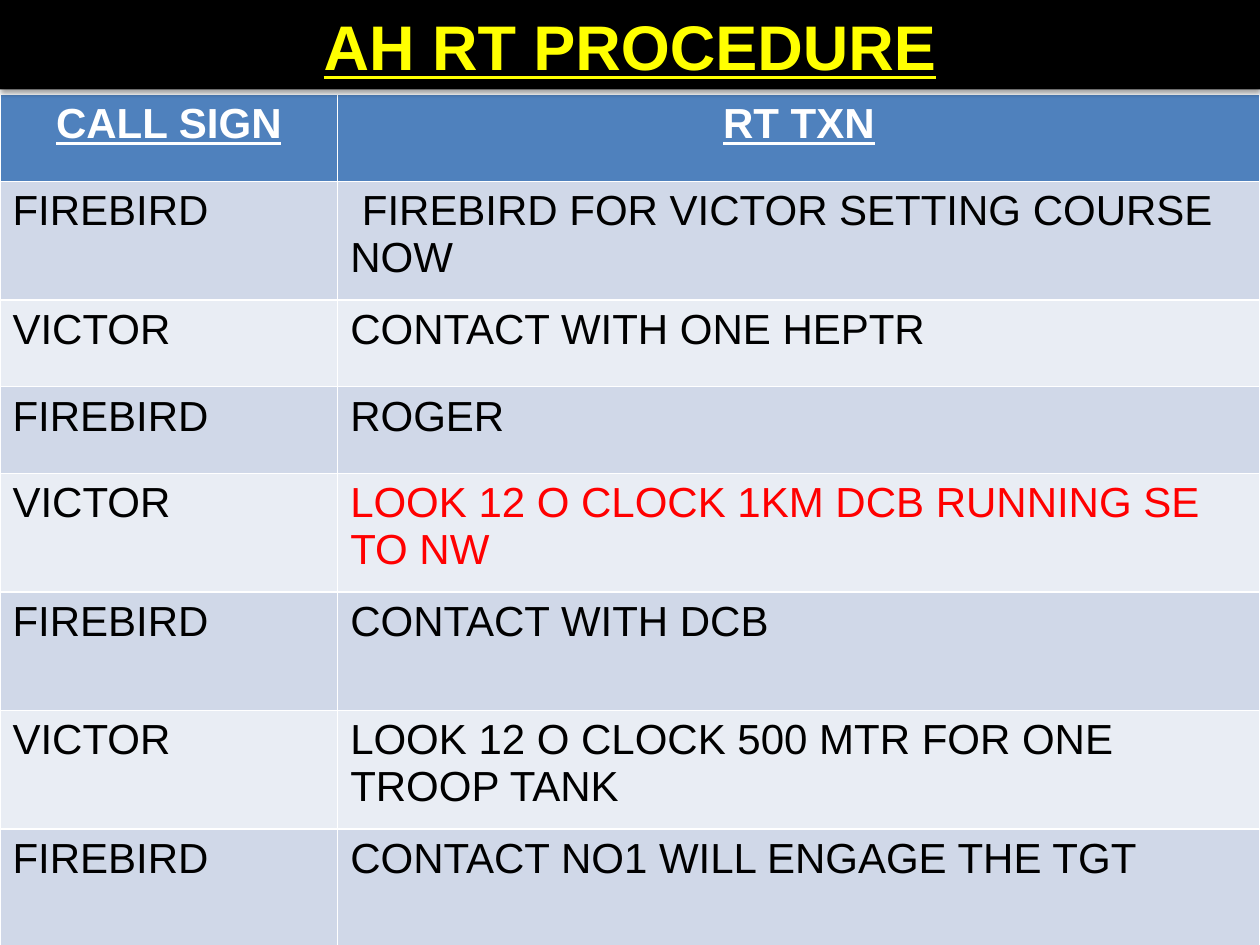
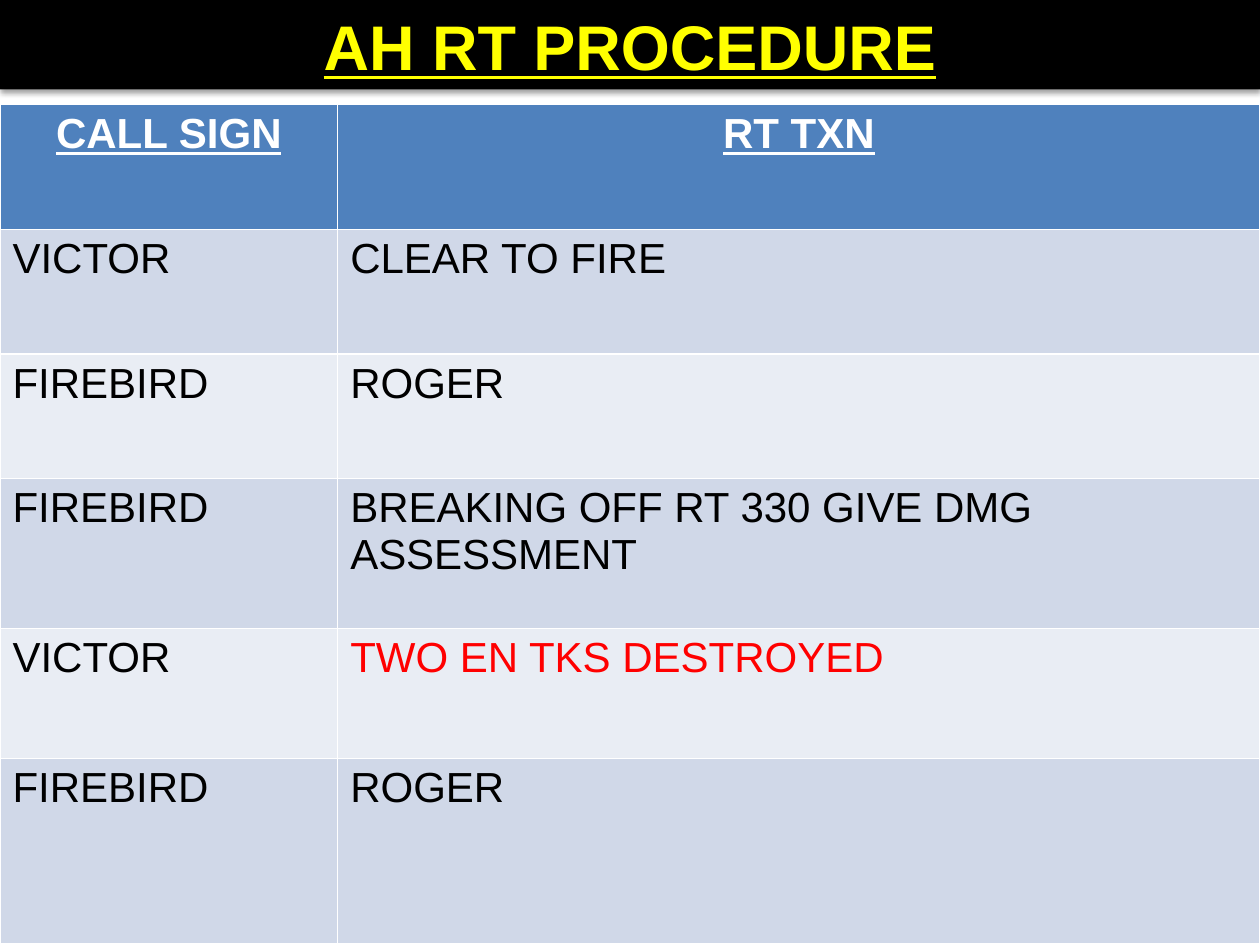
from lxml import etree
from pptx import Presentation
from pptx.dml.color import RGBColor
from pptx.enum.shapes import MSO_SHAPE as Shape
from pptx.enum.text import MSO_ANCHOR as Anchor, MSO_AUTO_SIZE as AutoSize, PP_ALIGN as Align
from pptx.oxml import parse_xml
from pptx.oxml.ns import nsdecls
from pptx.util import Inches, Pt

BLACK, WHITE, YELLOW, RED = "000000", "FFFFFF", "FFFF00", "FF0000"
HEADER_BLUE, BAND_DARK, BAND_LIGHT = "4F81BD", "D0D8E8", "E9EDF4"
FONT = "Arial"
SLIDE_WIDTH, SLIDE_HEIGHT = 10, 7.5
TITLE = "AH RT PROCEDURE"
TITLE_HEIGHT = 0.71
HEADINGS = ("CALL SIGN", "RT TXN")
COLUMN_WIDTHS = (2.68, 7.32)
TITLE_SHADOW = f"""<a:outerShdw {nsdecls("a")} blurRad="40000" dist="23000" dir="5400000" rotWithShape="0">
  <a:srgbClr val="{BLACK}"><a:alpha val="35000"/></a:srgbClr>
</a:outerShdw>"""

# Each exchange: table top, row heights (heading first), (call sign, message), messages in red
EXCHANGES = [
    (0.75, (0.69, 0.94, 0.69, 0.69, 0.94, 0.94, 0.94, 0.94), [
        ("FIREBIRD", " FIREBIRD FOR VICTOR SETTING COURSE NOW"),
        ("VICTOR", "CONTACT WITH ONE HEPTR"),
        ("FIREBIRD", "ROGER"),
        ("VICTOR", "LOOK 12 O CLOCK 1KM DCB RUNNING SE TO NW"),
        ("FIREBIRD", "CONTACT WITH DCB"),
        ("VICTOR", "LOOK 12 O CLOCK 500 MTR FOR ONE TROOP TANK"),
        ("FIREBIRD", "CONTACT NO1 WILL ENGAGE THE TGT"),
    ]),
    (0.83, (0.99, 0.99, 0.99, 1.19, 1.03, 1.47), [
        ("VICTOR", "CLEAR TO FIRE"),
        ("FIREBIRD", "ROGER"),
        ("FIREBIRD", "BREAKING OFF RT 330 GIVE DMG ASSESSMENT"),
        ("VICTOR", "TWO EN TKS DESTROYED"),
        ("FIREBIRD", "ROGER"),
    ]),
]
RED_MESSAGES = {"LOOK 12 O CLOCK 1KM DCB RUNNING SE TO NW", "TWO EN TKS DESTROYED"}


def paint(fill, color):
    fill.solid()
    fill.fore_color.rgb = RGBColor.from_string(color)


def write(frame, text, size=24, color=BLACK, heading=False):
    """Fill a text frame; headings are centred, bold and underlined."""
    paragraph = frame.paragraphs[0]
    paragraph.alignment = Align.CENTER if heading else Align.LEFT
    run = paragraph.add_run()
    run.text = text
    run.font.name, run.font.size = FONT, Pt(size)
    run.font.bold = run.font.underline = heading
    paint(run.font.fill, color)


deck = Presentation()
deck.slide_width, deck.slide_height = Inches(SLIDE_WIDTH), Inches(SLIDE_HEIGHT)

for top, row_heights, messages in EXCHANGES:
    slide = deck.slides.add_slide(deck.slide_layouts[6])

    # The default table style supplies the white rules between cells
    radio_log = slide.shapes.add_table(
        len(row_heights), len(HEADINGS), Inches(0), Inches(top),
        Inches(SLIDE_WIDTH), Inches(SLIDE_HEIGHT - top)).table
    for column, width in zip(radio_log.columns, COLUMN_WIDTHS):
        column.width = Inches(width)
    for row, height in zip(radio_log.rows, row_heights):
        row.height = Inches(height)

    for r, line in enumerate([HEADINGS, *messages]):
        for c, text in enumerate(line):
            cell = radio_log.cell(r, c)
            if r == 0:
                paint(cell.fill, HEADER_BLUE)
                write(cell.text_frame, text, color=WHITE, heading=True)
            else:
                paint(cell.fill, BAND_DARK if r % 2 else BAND_LIGHT)
                write(cell.text_frame, text, color=RED if text in RED_MESSAGES else BLACK)

    title_band = slide.shapes.add_shape(
        Shape.RECTANGLE, Inches(0), Inches(0), Inches(SLIDE_WIDTH), Inches(TITLE_HEIGHT))
    paint(title_band.fill, BLACK)
    title_band.line.fill.background()
    title_band.shadow.inherit = False
    effects = title_band.element.spPr.find("{*}effectLst")
    effects.append(parse_xml(TITLE_SHADOW))
    title_band.text_frame.word_wrap = True
    title_band.text_frame.auto_size = AutoSize.SHAPE_TO_FIT_TEXT
    title_band.text_frame.vertical_anchor = Anchor.BOTTOM
    write(title_band.text_frame, TITLE, size=36, color=YELLOW, heading=True)

deck.save("out.pptx")
